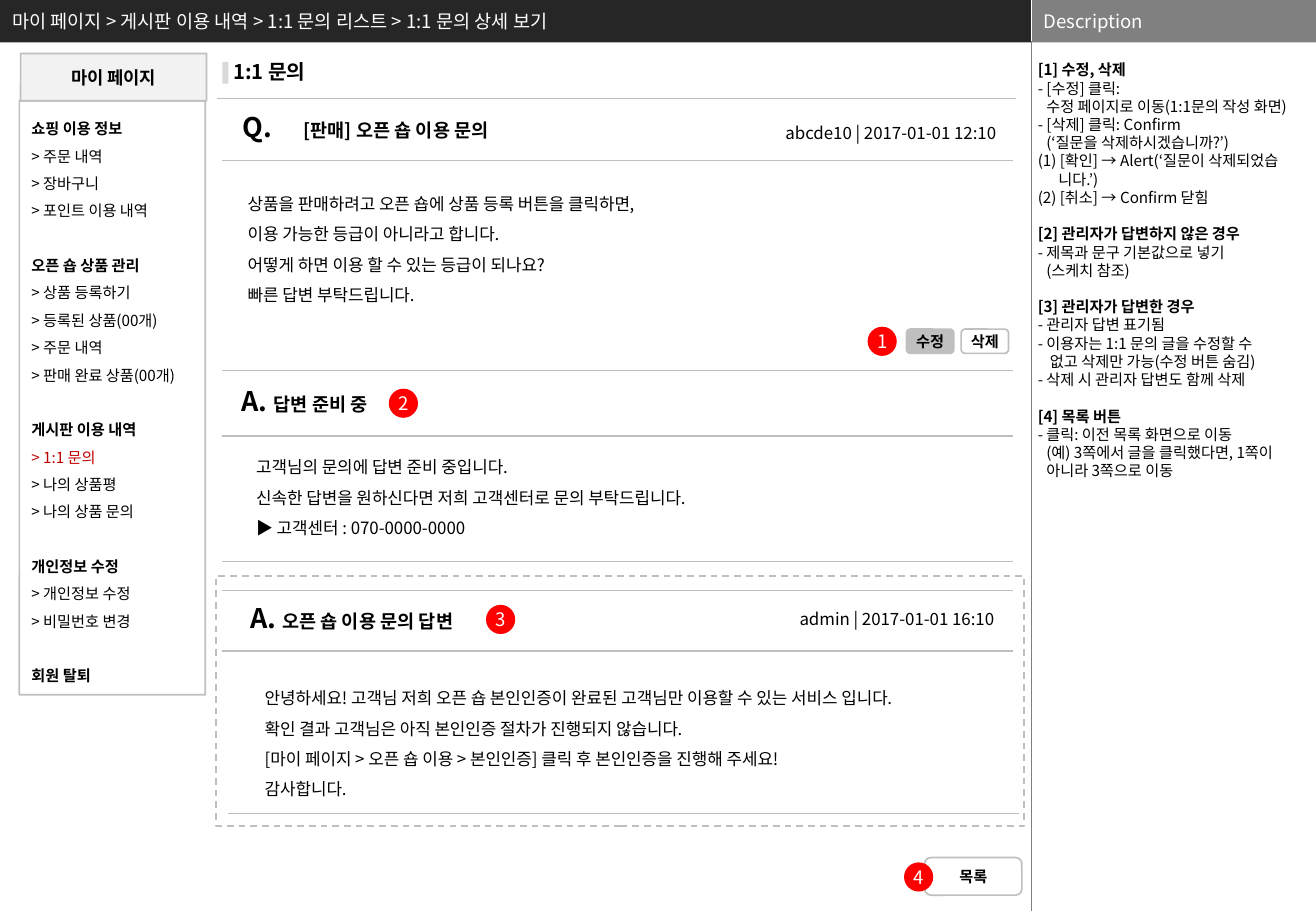
from lxml import etree
from pptx import Presentation
from pptx import util as u
from pptx.dml.color import RGBColor
from pptx.enum import dml, shapes, text
from pptx.oxml.ns import qn

FONT = "Noto Sans CJK KR"
HUE = dict(black="000000", white="FFFFFF", dark="262626", gray="808080", rule="BFBFBF",
           pale="F2F2F2", mark="D9D9D9", red="FF0000", link="C00000", edge="7F7F7F")
KIND = shapes.MSO_SHAPE
LEFT, MID = text.PP_ALIGN.LEFT, text.PP_ALIGN.CENTER

MENU = [
    ("쇼핑 이용 정보", ["주문 내역", "장바구니", "포인트 이용 내역"]),
    ("오픈 숍 상품 관리", ["상품 등록하기", "등록된 상품(00개)", "주문 내역", "판매 완료 상품(00개)"]),
    ("게시판 이용 내역", ["1:1 문의", "나의 상품평", "나의 상품 문의"]),
    ("개인정보 수정", ["개인정보 수정", "비밀번호 변경"]),
    ("회원 탈퇴", []),
]
# Each note line is an indent in inches and its words.
NOTES = [
    ("[1] 수정, 삭제", [
        (0, "- [수정] 클릭:"), (.07, "수정 페이지로 이동(1:1문의 작성 화면)"),
        (0, "- [삭제] 클릭: Confirm"), (.07, "(‘질문을 삭제하시겠습니까?’)"),
        (0, "(1) [확인] → Alert(‘질문이 삭제되었습"), (.17, "니다.’)"),
        (0, "(2) [취소] → Confirm 닫힘")]),
    ("[2] 관리자가 답변하지 않은 경우", [
        (0, "- 제목과 문구 기본값으로 넣기"), (.07, "(스케치 참조)")]),
    ("[3] 관리자가 답변한 경우", [
        (0, "- 관리자 답변 표기됨"), (0, "- 이용자는 1:1 문의 글을 수정할 수"),
        (.1, "없고 삭제만 가능(수정 버튼 숨김)"), (0, "- 삭제 시 관리자 답변도 함께 삭제")]),
    ("[4] 목록 버튼", [
        (0, "- 클릭: 이전 목록 화면으로 이동"), (.07, "(예) 3쪽에서 글을 클릭했다면, 1쪽이"),
        (.07, "아니라 3쪽으로 이동")]),
]
ASK = ["상품을 판매하려고 오픈 숍에 상품 등록 버튼을 클릭하면,", "이용 가능한 등급이 아니라고 합니다.",
       "어떻게 하면 이용 할 수 있는 등급이 되나요?", "빠른 답변 부탁드립니다."]
WAIT = ["고객님의 문의에 답변 준비 중입니다.", "신속한 답변을 원하신다면 저희 고객센터로 문의 부탁드립니다.",
        "▶ 고객센터 : 070-0000-0000"]
REPLY = ["안녕하세요! 고객님 저희 오픈 숍 본인인증이 완료된 고객님만 이용할 수 있는 서비스 입니다.",
         "확인 결과 고객님은 아직 본인인증 절차가 진행되지 않습니다.",
         "[마이 페이지 > 오픈 숍 이용 > 본인인증] 클릭 후 본인인증을 진행해 주세요!", "감사합니다."]


def tint(name):
    return RGBColor.from_string(HUE[name])


def write(frame, words, size=9, color="black", bold=False, align=LEFT,
          lead=1, gap=0, indent=0, tab=None, first=None):
    """Add one paragraph; first is a (words, size) run that opens it."""
    para = frame.paragraphs[0]
    if para.runs:
        para = frame.add_paragraph()
    props = para._p.get_or_add_pPr()
    props.set("marL", str(u.Inches(indent)))
    props.set("indent", "0")
    etree.SubElement(props, qn("a:buNone"))
    if tab:
        stops = etree.SubElement(props, qn("a:tabLst"))
        etree.SubElement(stops, qn("a:tab"), pos=str(u.Inches(tab)), algn="l")
    parts = ([first] if first else []) + [(words, size)]
    para.alignment = align
    para.line_spacing = u.Pt(max(pt for _, pt in parts) * 1.2 * lead)
    para.space_before = u.Pt(gap)
    for part, pt in parts:
        run = para.add_run()
        run.text = part
        font = run.font
        font.name, font.size, font.bold = FONT, u.Pt(pt), bold
        font.color.rgb = tint(color)
        latin = font._element.find(qn("a:latin"))
        latin.addnext(etree.Element(qn("a:ea"), typeface=FONT))


class Page:
    """Holds the slide and draws each kind of element in its style."""

    def __init__(self, deck):
        self.slide = deck.slides.add_slide(deck.slide_layouts[1])
        self.items = self.slide.shapes

    def frame(self, shape, inset=(.1, .05), mid=False):
        body = shape.text_frame
        body.word_wrap, body.auto_size = True, text.MSO_AUTO_SIZE.NONE
        body.margin_left = body.margin_right = u.Inches(inset[0])
        body.margin_top = body.margin_bottom = u.Inches(inset[1])
        body.vertical_anchor = text.MSO_ANCHOR.MIDDLE if mid else text.MSO_ANCHOR.TOP
        return body

    def holder(self, index, box, **form):
        """Move a placeholder to box, in front of what is drawn so far."""
        shape = self.slide.placeholders[index]
        shape.left, shape.top, shape.width, shape.height = map(u.Inches, box)
        self.items._spTree.append(shape._element)
        return self.frame(shape, **form)

    def label(self, *box, **form):
        return self.frame(self.items.add_textbox(*map(u.Inches, box)), **form)

    def shape(self, kind, box, fill=None, line=None, inset=(.1, .05), round=None, dash=False):
        item = self.items.add_shape(kind, *map(u.Inches, box))
        item.shadow.inherit = False
        if fill:
            item.fill.solid()
            item.fill.fore_color.rgb = tint(fill)
        else:
            item.fill.background()
        if line:
            item.line.color.rgb, item.line.width = tint(line), u.Pt(1)
        else:
            item.line.fill.background()
        if dash:
            item.line.dash_style = dml.MSO_LINE.DASH
        if round is not None:
            item.adjustments[0] = round
        return self.frame(item, inset, True)

    def line(self, x1, y1, x2, y2, color="rule", width=.75):
        item = self.items.add_connector(shapes.MSO_CONNECTOR.STRAIGHT,
                                        *map(u.Inches, (x1, y1, x2, y2)))
        item.line.color.rgb, item.line.width = tint(color), u.Pt(width)
        etree.SubElement(item._element.spPr, qn("a:effectLst"))

    def badge(self, num, x, y):
        body = self.shape(KIND.OVAL, (x, y, .24, .24), "red", inset=(0, 0))
        body.word_wrap = False
        write(body, num, size=11, color="white", align=MID)

    def button(self, words, box, **style):
        body = self.shape(KIND.ROUNDED_RECTANGLE, box, line="rule", **style)
        write(body, words, bold=True, align=MID)

    def head(self, mark, words, x, y):
        write(self.label(x, y, 3, .37), words, size=11, bold=True, tab=.34, first=(mark, 16))

    def stamp(self, words, x, y):
        write(self.label(x, y, 2.12, .27), words, size=10, align=MID)

    def story(self, lines, x, y, high):
        body = self.label(x, y, 6.24, high)
        for words in lines:
            write(body, words, size=10, lead=1.5)


def frame_page(page):
    page.shape(KIND.RECTANGLE, (0, 0, 8.49, .35), "dark")
    page.shape(KIND.RECTANGLE, (8.49, 0, 2.34, .35), "gray")
    page.line(8.49, 0, 8.49, .35, "white", .25)
    page.line(8.49, .34, 8.49, 7.5, "edge", .25)
    write(page.label(8.49, 0, 2.34, .34, mid=True), "Description", size=11, color="white")
    write(page.holder(0, (0, 0, 8.25, .35), mid=True),
          "마이 페이지 > 게시판 이용 내역 > 1:1 문의 리스트 > 1:1 문의 상세 보기", size=11, color="white")
    notes = page.holder(1, (8.5, .5, 2.34, 7), inset=(.04, 0))
    for at, (head, lines) in enumerate(NOTES):
        write(notes, head, bold=True, gap=10.8 if at else 0)
        for indent, words in lines:
            write(notes, words, indent=indent)


def side_menu(page):
    top = page.shape(KIND.ROUNDED_RECTANGLE, (.17, .44, 1.53, .39), "pale", "rule", round=.001)
    write(top, "마이 페이지", size=10.5, bold=True, align=MID)
    menu = page.shape(KIND.ROUNDED_RECTANGLE, (.16, .83, 1.53, 4.89), line="rule", round=.001)
    for at, (head, links) in enumerate(MENU):
        write(menu, head, bold=True, lead=1.5, gap=16.2 if at else 0)
        for words in links:
            write(menu, "> " + words, lead=1.5, color="link" if words == "1:1 문의" else "black")


def thread(page):
    write(page.label(1.82, .44, 2.72, .3), "1:1 문의", size=12, bold=True)
    page.shape(KIND.RECTANGLE, (1.83, .51, .05, .18), "mark")
    page.line(1.79, .81, 8.36, .81)
    for y in (1.32, 3.05, 3.59, 4.62, 4.86, 5.36):
        page.line(1.83, y, 8.34, y)
    page.line(1.88, 6.7, 8.39, 6.7)
    page.shape(KIND.RECTANGLE, (1.78, 4.74, 6.65, 2.06), line="rule", dash=True)

    page.head("Q.\t", "[판매] 오픈 숍 이용 문의", 1.9, .86)
    page.head("A. ", "답변 준비 중", 1.89, 3.12)
    page.head("A. ", "오픈 숍 이용 문의 답변", 1.96, 4.9)
    page.stamp("abcde10 | 2017-01-01 12:10", 6.27, .96)
    page.stamp("admin | 2017-01-01 16:10", 6.32, 4.96)
    page.story(ASK, 1.94, 1.46, 1.11)
    page.story(WAIT, 2.01, 3.63, .86)
    page.story(REPLY, 2.08, 5.53, 1.11)

    page.button("수정", (7.46, 2.71, .39, .2), fill="rule", inset=(0, 0))
    page.button("삭제", (7.91, 2.71, .39, .2), fill="white", inset=(0, 0))
    page.button("목록", (7.61, 7.06, .8, .31))
    for num, x, y in (("1", 7.14, 2.69), ("2", 3.2, 3.2), ("3", 4, 4.98), ("4", 7.44, 7.1)):
        page.badge(num, x, y)


def main():
    deck = Presentation()
    deck.slide_width, deck.slide_height = u.Inches(10.83), u.Inches(7.5)
    page = Page(deck)
    frame_page(page)
    side_menu(page)
    thread(page)
    deck.save("out.pptx")


if __name__ == "__main__":
    main()
